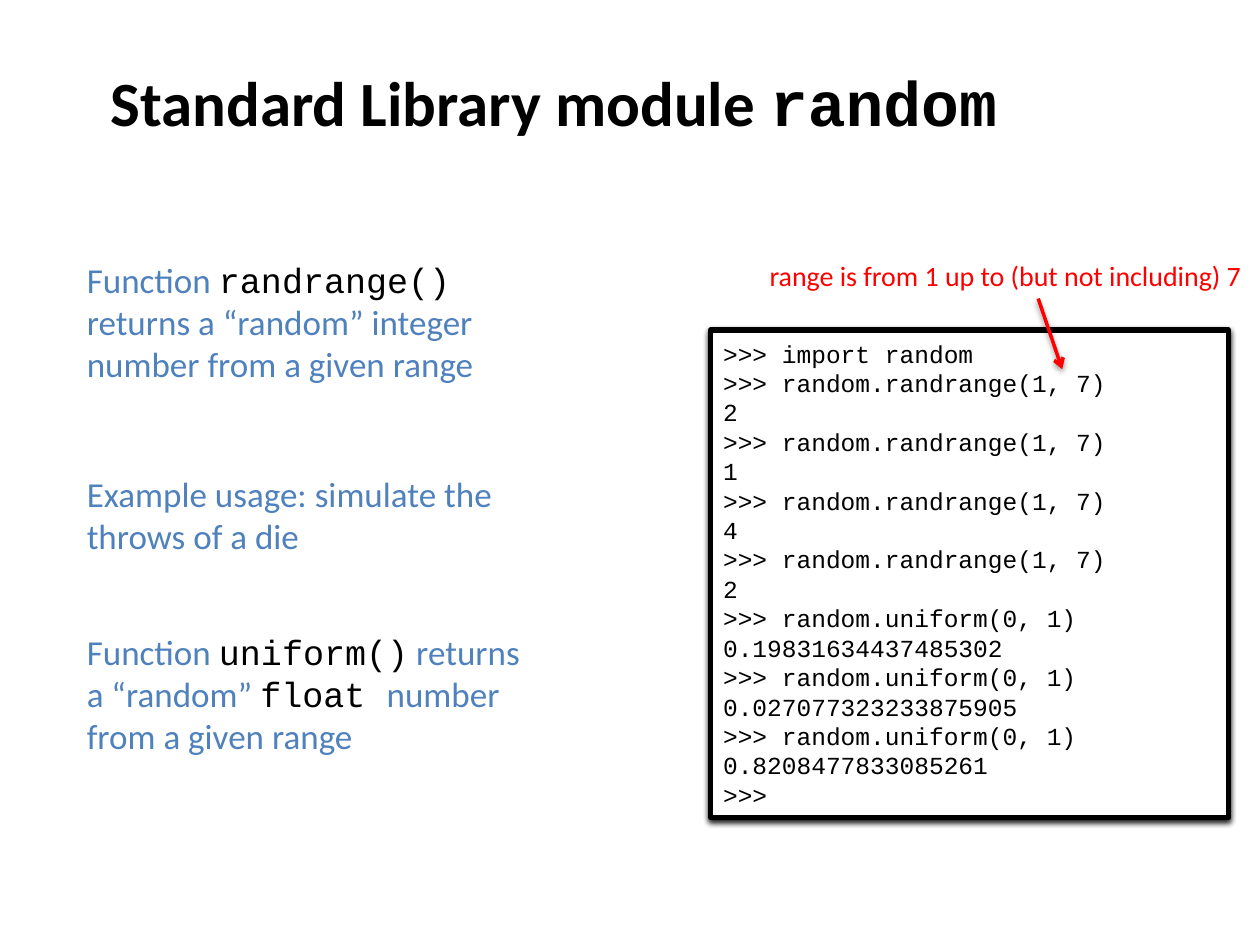
"""Build a slide on the random module of the standard library."""
from dataclasses import dataclass

import lxml.etree
import pptx
import pptx.dml.color
import pptx.enum.shapes
import pptx.enum.text
import pptx.oxml
import pptx.oxml.ns
import pptx.util

Inches = pptx.util.Inches
Pt = pptx.util.Pt
RGBColor = pptx.dml.color.RGBColor
ANCHOR = pptx.enum.text.MSO_ANCHOR
ALIGN = pptx.enum.text.PP_ALIGN
AUTO_SIZE = pptx.enum.text.MSO_AUTO_SIZE

BLACK = RGBColor(0, 0, 0)
WHITE = RGBColor(255, 255, 255)
BLUE = RGBColor(0x4F, 0x81, 0xBD)
RED = RGBColor(255, 0, 0)

BODY = {"name": "Calibri", "size": Pt(20), "color": BLUE}
CODE = {"name": "Courier New", "size": Pt(20), "color": BLACK}
TITLE = {"name": "Calibri", "size": Pt(36), "color": BLACK, "bold": True}
TITLE_CODE = TITLE | {"name": "Courier New"}
NOTE = {"name": "Calibri", "size": Pt(16), "color": RED}
SESSION = CODE | {"size": Pt(14)}


@dataclass
class Label:
    left: float
    top: float
    width: float
    height: float
    runs: list[tuple[str, dict]]
    wrap: bool = True
    auto_size: AUTO_SIZE = AUTO_SIZE.SHAPE_TO_FIT_TEXT


LABELS = [
    Label(0.78, 0, 8.5, 1.61,
          [("Standard Library module ", TITLE), ("random", TITLE_CODE)],
          auto_size=AUTO_SIZE.NONE),
    Label(0.59, 2, 3.79, 1.11,
          [("Function ", BODY), ("randrange()", CODE),
           (" returns a “random” integer number from a given range ", BODY)]),
    Label(0.59, 3.7, 3.79, 0.77,
          [("Example usage: simulate the throws of a die", BODY)]),
    Label(0.59, 4.95, 3.79, 1.11,
          [("Function ", BODY), ("uniform()", CODE), (" returns a “random” ", BODY),
           ("float ", CODE), ("number from a given range ", BODY)]),
    Label(6.01, 2, 4, 0.37,
          [("range is from 1 up to (but not including) 7", NOTE)], wrap=False),
]

CALLS = [
    ("randrange(1, 7)", ["2", "1", "4", "2"]),
    ("uniform(0, 1)", ["0.19831634437485302", "0.027077323233875905",
                       "0.8208477833085261"]),
]


def add_run(p, text: str, style: dict) -> None:
    r = p.add_run()
    r.text = text
    for key, value in style.items():
        if key == "color":
            r.font.color.rgb = value
        else:
            setattr(r.font, key, value)


def set_frame(tf, wrap: bool, auto_size: AUTO_SIZE) -> None:
    frame = {"word_wrap": wrap, "auto_size": auto_size,
             "vertical_anchor": ANCHOR.MIDDLE}
    for key, value in frame.items():
        setattr(tf, key, value)


def add_label(slide, label: Label) -> None:
    sp = slide.shapes.add_textbox(Inches(label.left), Inches(label.top),
                                  Inches(label.width), Inches(label.height))
    set_frame(sp.text_frame, label.wrap, label.auto_size)
    for text, style in label.runs:
        add_run(sp.text_frame.paragraphs[0], text, style)


def add_shadow(sp, opacity: int) -> None:
    sp._element.spPr.append(pptx.oxml.parse_xml(
        f'<a:effectLst {pptx.oxml.ns.nsdecls("a")}>'
        '<a:outerShdw blurRad="40000" dist="20000" dir="5400000" rotWithShape="0">'
        f'<a:srgbClr val="{BLACK}"><a:alpha val="{opacity * 1000}"/></a:srgbClr>'
        '</a:outerShdw></a:effectLst>'))


def add_session(slide) -> None:
    lines = [">>> import random"]
    for call, results in CALLS:
        for result in results:
            lines += [f">>> random.{call}", result]
    lines.append(">>> ")

    sp = slide.shapes.add_shape(pptx.enum.shapes.MSO_SHAPE.RECTANGLE,
                                Inches(5.64), Inches(2.62), Inches(4.11), Inches(3.87))
    sp.fill.solid()
    sp.fill.fore_color.rgb = WHITE
    sp.line.color.rgb = BLACK
    sp.line.width = Pt(3)
    add_shadow(sp, 90)
    tf = sp.text_frame
    set_frame(tf, True, AUTO_SIZE.SHAPE_TO_FIT_TEXT)
    for i, line in enumerate(lines):
        p = tf.add_paragraph() if i else tf.paragraphs[0]
        p.alignment = ALIGN.LEFT
        add_run(p, line, SESSION)


def add_arrow(slide) -> None:
    sp = slide.shapes.add_connector(pptx.enum.shapes.MSO_CONNECTOR.STRAIGHT,
                                    Inches(8.24), Inches(2.37),
                                    Inches(8.43), Inches(2.93))
    sp.line.color.rgb = RED
    sp.line.width = Pt(2)
    lxml.etree.SubElement(sp.line._get_or_add_ln(),
                          pptx.oxml.ns.qn("a:tailEnd"), type="arrow")
    add_shadow(sp, 38)


prs = pptx.Presentation()
prs.slide_width, prs.slide_height = Inches(10), Inches(7.5)
s = prs.slides.add_slide(prs.slide_layouts[6])
add_session(s)
for label in LABELS:
    add_label(s, label)
add_arrow(s)
prs.save("out.pptx")
